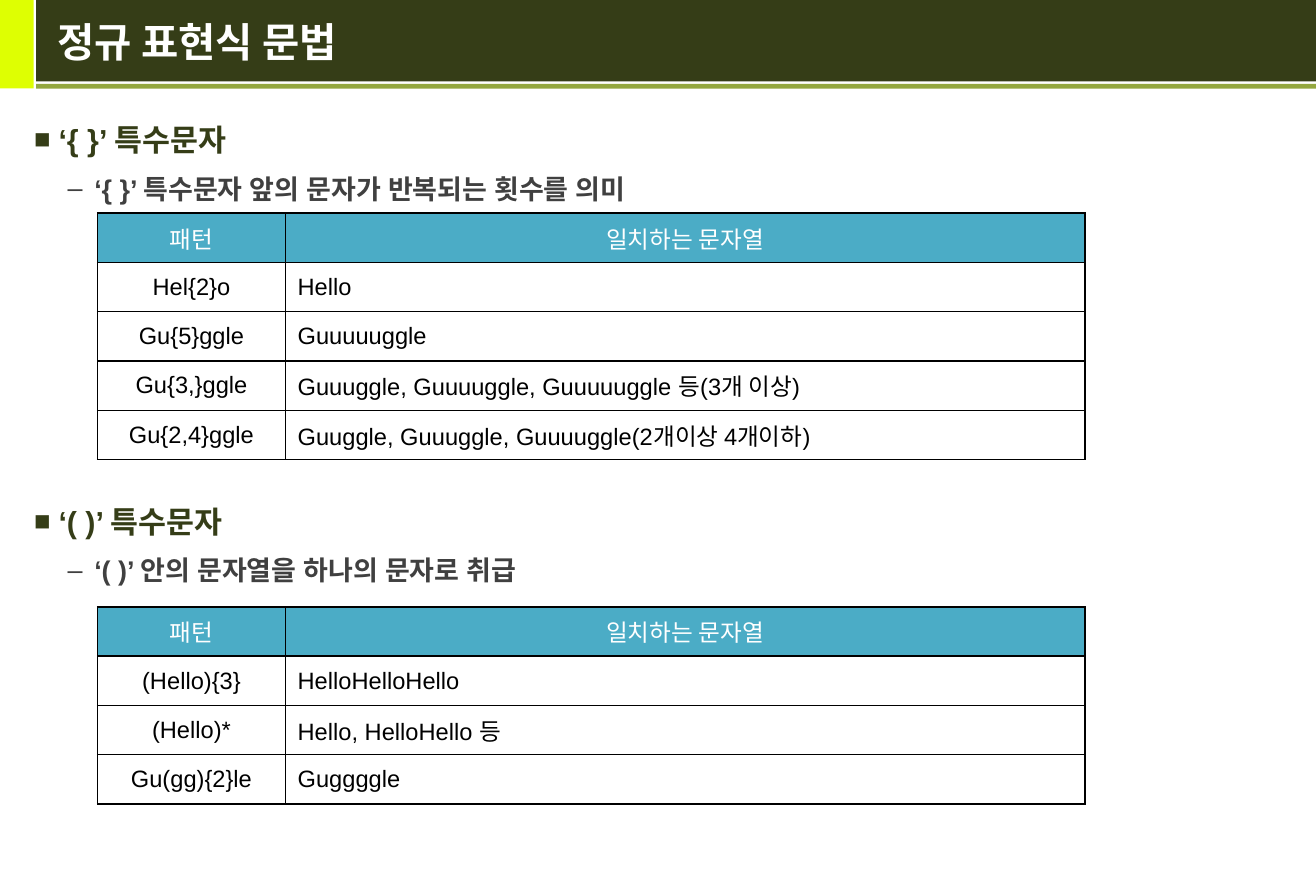
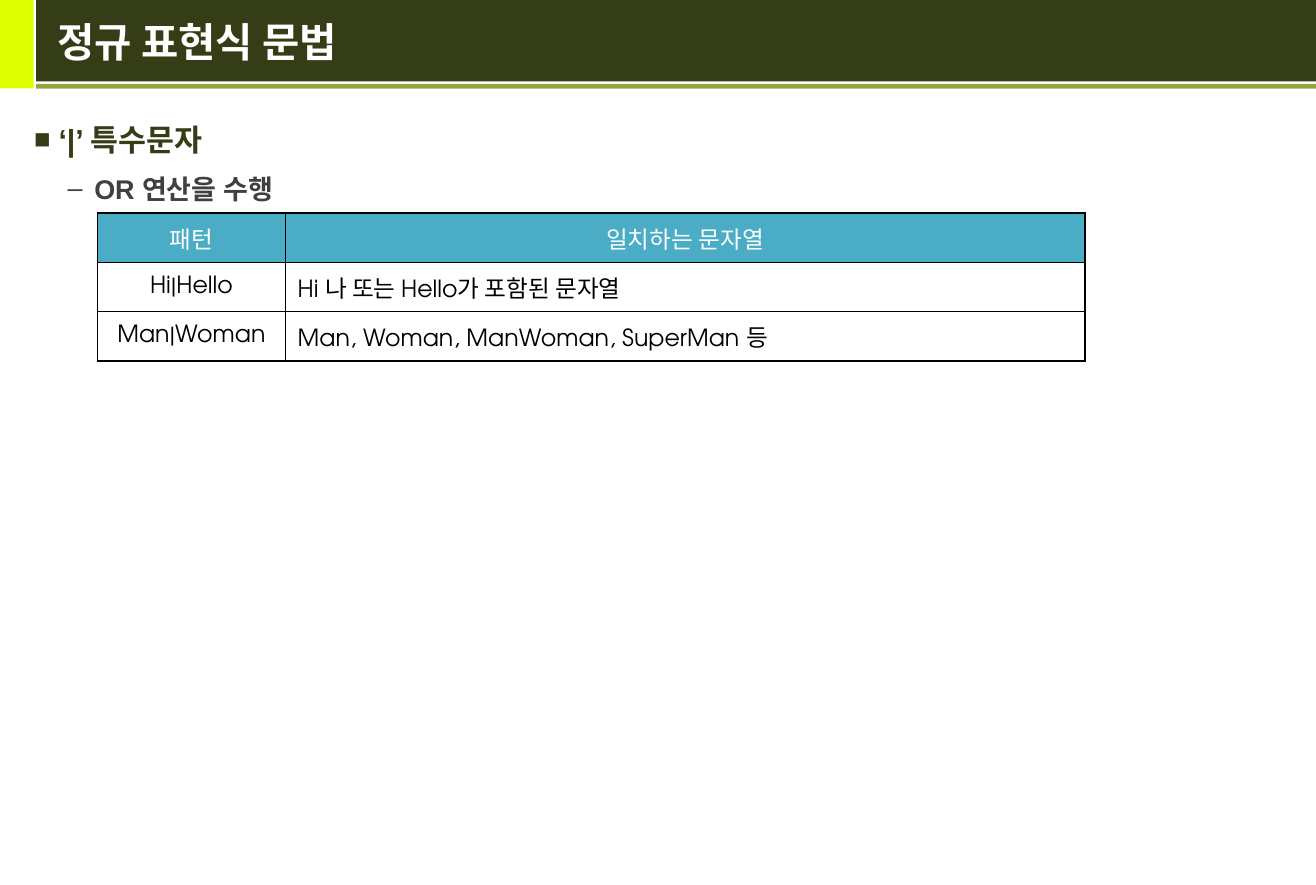
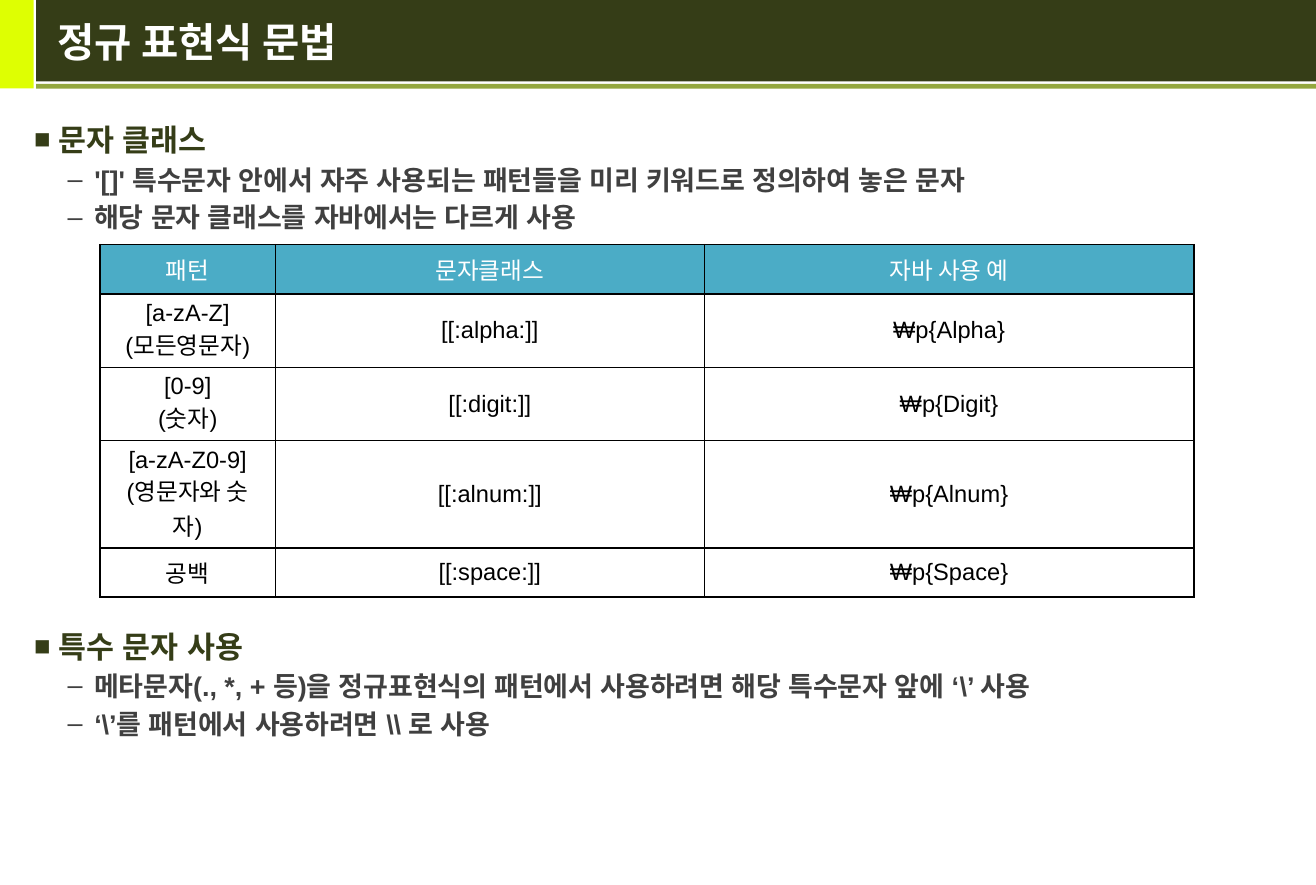
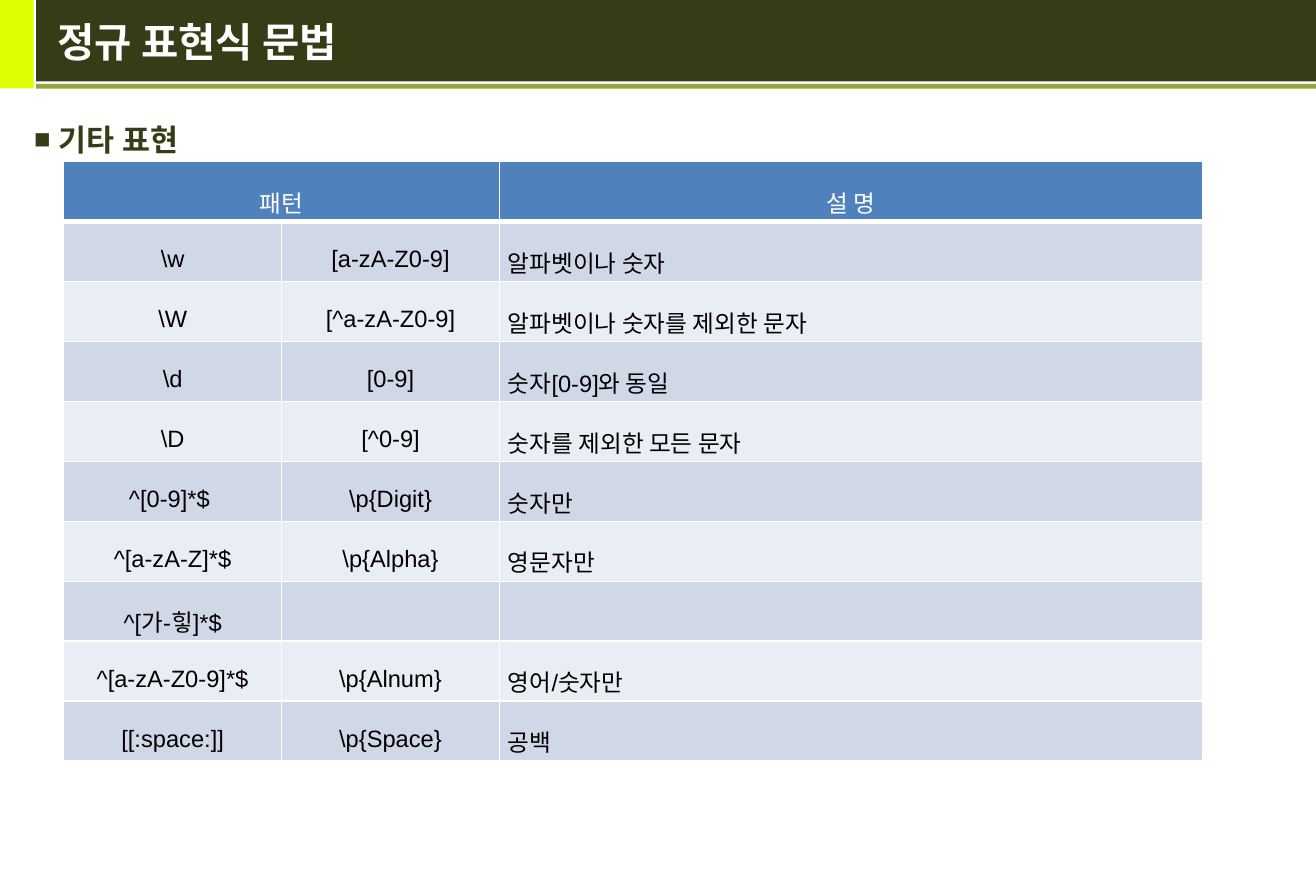
from dataclasses import dataclass

from lxml.etree import SubElement
from pptx import Presentation
from pptx.dml.color import RGBColor
from pptx.enum.shapes import MSO_SHAPE
from pptx.enum.text import MSO_ANCHOR, PP_ALIGN
from pptx.oxml.ns import qn
from pptx.util import Pt


@dataclass(frozen=True)
class Theme:
    """Colours, fonts and type sizes of the deck."""
    lime: str = "DEFF02"
    dark: str = "353D17"
    olive: str = "93A73F"
    gray: str = "404040"
    white: str = "FFFFFF"
    black: str = "000000"
    teal: str = "4BACC6"
    blue: str = "4F81BD"
    bands: tuple = ("D0D8E8", "E9EDF4")
    font: str = "Arial"
    hangul: str = "Noto Sans CJK KR"
    title: int = 24
    head: int = 18
    item: int = 16
    cell: int = 14


def style(para, size, color, font, east, bold=False):
    """Format every run of a paragraph, without pair kerning."""
    for run in para.runs:
        run.font.size = Pt(size)
        run.font.bold = bold
        run.font.name = font
        run.font.color.rgb = RGBColor.from_string(color)
        props = run._r.get_or_add_rPr()
        props.set("kern", "0")
        SubElement(props, qn("a:ea"), typeface=east)


def bullet(para, char, color, scale, left, hang):
    """Give a paragraph a bullet and a hanging indent."""
    props = para._p.get_or_add_pPr()
    props.set("marL", str(Pt(left)))
    props.set("indent", str(-Pt(hang)))
    SubElement(SubElement(props, qn("a:buClr")), qn("a:srgbClr"), val=color)
    SubElement(props, qn("a:buSzPct"), val=str(scale * 1000))
    SubElement(props, qn("a:buFont"), typeface="Arial")
    SubElement(props, qn("a:buChar"), char=char)


def border(cell, color, widths):
    """Draw the left, right, top and bottom edges of a cell."""
    props = cell._tc.get_or_add_tcPr()
    for side, width in zip("LRTB", widths):
        line = SubElement(props, qn(f"a:ln{side}"), w=str(Pt(width)))
        fill = SubElement(line, qn("a:solidFill"))
        SubElement(fill, qn("a:srgbClr"), val=color)


class Deck:
    """Holds the theme, the presentation and the current slide."""

    def __init__(self, theme):
        """Open an empty deck of the right size."""
        self.theme = theme
        self.prs = Presentation()
        self.prs.slide_width = Pt(779.76)
        self.prs.slide_height = Pt(524.16)
        self.layout = self.prs.slide_layouts[5]
        self.slide = None

    def band(self, left, top, width, height, color):
        """Put a plain bar on the layout, behind its placeholders."""
        bar = self.slide.shapes.add_shape(
            MSO_SHAPE.RECTANGLE, Pt(left), Pt(top), Pt(width), Pt(height))
        bar.shadow.inherit = False
        bar.fill.solid()
        bar.fill.fore_color.rgb = RGBColor.from_string(color)
        bar.line.fill.background()
        self.layout.shapes._spTree.insert(2, bar._element)

    def page(self, text):
        """Start a slide with its title; the first one sets the bands."""
        look = self.theme
        first = self.slide is None
        self.slide = self.prs.slides.add_slide(self.layout)
        if first:
            self.band(0, 0, 20, 52.4, look.lime)
            self.band(21.4, 0, 758.6, 48.2, look.dark)
            self.band(21.4, 49.7, 758.6, 2.8, look.olive)
        title = self.slide.shapes.title
        title.left, title.top = Pt(27), Pt(0)
        title.width, title.height = Pt(743), Pt(49)
        frame = title.text_frame
        frame.text = text
        frame.vertical_anchor = MSO_ANCHOR.MIDDLE
        para = frame.paragraphs[0]
        para.alignment = PP_ALIGN.LEFT
        style(para, look.title, look.white, look.hangul, look.hangul, True)

    def body(self, groups, gap=0, pitch=1.2, before=4.8):
        """Write headings with items; gap parts one group from the next."""
        look = self.theme
        box = self.slide.shapes.add_textbox(Pt(13.2), Pt(64), Pt(745), Pt(448))
        frame = box.text_frame
        frame.word_wrap = True
        frame.text = "\n".join(line for group in groups for line in group)
        paras = iter(frame.paragraphs)
        for order, group in enumerate(groups):
            head = next(paras)
            head.line_spacing = 1.2
            head.space_before = Pt(gap if order else 6.4)
            bullet(head, "■", look.dark, 90, 14.4, 14.4)
            style(head, look.head, look.dark, look.font, look.font, True)
            for _ in group[1:]:
                item = next(paras)
                item.level = 1
                item.line_spacing = pitch
                item.space_before = Pt(before)
                bullet(item, "–", look.gray, 100, 35.6, 15.8)
                style(item, look.item, look.gray, look.font, look.font, True)

    def grid(self, left, top, cols, heights, rows):
        """Add a table of the given sizes and fill in its text."""
        table = self.slide.shapes.add_table(
            len(rows), len(cols), Pt(left), Pt(top),
            Pt(sum(cols)), Pt(sum(heights))).table
        table.first_row = table.horz_banding = False
        for col, width in zip(table.columns, cols):
            col.width = Pt(width)
        for row, height, texts in zip(table.rows, heights, rows):
            row.height = Pt(height)
            for cell, text in zip(row.cells, texts):
                cell.text_frame.text = text
        return table

    def dress(self, cell, fill, color, font, centre, pitch=1.0):
        """Fill a cell and format its text."""
        look = self.theme
        cell.fill.solid()
        cell.fill.fore_color.rgb = RGBColor.from_string(fill)
        cell.vertical_anchor = MSO_ANCHOR.MIDDLE
        for para in cell.text_frame.paragraphs:
            if para.runs:
                para.alignment = PP_ALIGN.CENTER if centre else PP_ALIGN.LEFT
                para.line_spacing = pitch
                style(para, look.cell, color, font, look.hangul)

    def lined(self, left, top, cols, rows, heights=None, font=None, flush=1):
        """Add a table with black rules; flush is its left-aligned column."""
        look = self.theme
        heights = heights or [29.2] * len(rows)
        table = self.grid(left, top, cols, heights, rows)
        for r, row in enumerate(table.rows):
            fill, color = ((look.white, look.black) if r
                           else (look.teal, look.white))
            for c, cell in enumerate(row.cells):
                border(cell, look.black, [1] * 4)
                self.dress(cell, fill, color, font or look.font,
                           r == 0 or c != flush)

    def striped(self, left, top, cols, rows):
        """Add a banded table whose first two header cells are one."""
        look = self.theme
        table = self.grid(left, top, cols, [35.5] * len(rows), rows)
        table.cell(0, 0).merge(table.cell(0, 1))
        for r, row in enumerate(table.rows):
            fill, color = ((look.bands[(r - 1) % 2], look.black) if r
                           else (look.blue, look.white))
            widths = 1, 1, 3 if r == 1 else 1, 1 if r else 3
            for c, cell in enumerate(row.cells):
                border(cell, look.white, widths)
                cell.margin_left = cell.margin_right = Pt(5)
                cell.margin_top = cell.margin_bottom = Pt(1.4)
                self.dress(cell, fill, color, look.font, r == 0 or c < 2, 1.6)


TITLE = "정규 표현식 문법"
HEAD = ("패턴", "일치하는 문자열")
PAIR = (111.4, 473.6)

deck = Deck(Theme())

deck.page(TITLE)
deck.body([
    ("‘{ }’ 특수문자", "‘{ }’ 특수문자 앞의 문자가 반복되는 횟수를 의미"),
    ("‘( )’ 특수문자", "‘( )’ 안의 문자열을 하나의 문자로 취급"),
], gap=172.2)
deck.lined(57.8, 126.2, PAIR, [
    HEAD,
    ("Hel{2}o", "Hello"),
    ("Gu{5}ggle", "Guuuuuggle"),
    ("Gu{3,}ggle", "Guuuggle, Guuuuggle, Guuuuuggle 등(3개 이상)"),
    ("Gu{2,4}ggle", "Guuggle, Guuuggle, Guuuuggle(2개이상 4개이하)"),
])
deck.lined(57.8, 359.4, PAIR, [
    HEAD,
    ("(Hello){3}", "HelloHelloHello"),
    ("(Hello)*", "Hello, HelloHello 등"),
    ("Gu(gg){2}le", "Guggggle"),
])

deck.page(TITLE)
deck.body([("‘|’ 특수문자", "OR 연산을 수행")])
deck.lined(57.8, 126.2, PAIR, [
    HEAD,
    ("Hi|Hello", "Hi 나 또는 Hello가 포함된 문자열"),
    ("Man|Woman", "Man, Woman, ManWoman, SuperMan 등"),
], font="TeX Gyre Adventor")

deck.page(TITLE)
deck.body([
    ("문자 클래스",
     "'[]' 특수문자 안에서 자주 사용되는 패턴들을 미리 키워드로 정의하여 놓은 문자",
     "해당 문자 클래스를 자바에서는 다르게 사용"),
    ("특수 문자 사용",
     "메타문자(., *, + 등)을 정규표현식의 패턴에서 사용하려면 해당 특수문자 앞에 ‘\\’ 사용",
     "‘\\’를 패턴에서 사용하려면 \\\\ 로 사용"),
], gap=229.2, pitch=1.0, before=3.2)
deck.lined(59.3, 144.9, (103.9, 254.2, 290), [
    ("패턴", "문자클래스", "자바 사용 예"),
    ("[a-zA-Z]\n(모든영문자)", "[[:alpha:]]", "₩p{Alpha}"),
    ("[0-9]\n(숫자)", "[[:digit:]]", "₩p{Digit}"),
    ("[a-zA-Z0-9]\n(영문자와 숫자)", "[[:alnum:]]", "₩p{Alnum}"),
    ("공백", "[[:space:]]", "₩p{Space}"),
], heights=(29.2, 43.4, 43.4, 63.6, 29.2), flush=None)

deck.page(TITLE)
deck.body([("기타 표현",)])
deck.striped(37.8, 95.8, (129.1, 129.1, 416.9), [
    ("패턴", "", "설 명"),
    ("\\w", "[a-zA-Z0-9]", "알파벳이나 숫자"),
    ("\\W", "[^a-zA-Z0-9]", "알파벳이나 숫자를 제외한 문자"),
    ("\\d", "[0-9]", "숫자[0-9]와 동일"),
    ("\\D", "[^0-9]", "숫자를 제외한 모든 문자"),
    ("^[0-9]*$ ", "\\p{Digit}", "숫자만"),
    ("^[a-zA-Z]*$", "\\p{Alpha}", "영문자만"),
    ("^[가-힣]*$", "", ""),
    ("^[a-zA-Z0-9]*$", "\\p{Alnum}", "영어/숫자만"),
    ("[[:space:]]", "\\p{Space}", "공백"),
])

deck.prs.save("out.pptx")
